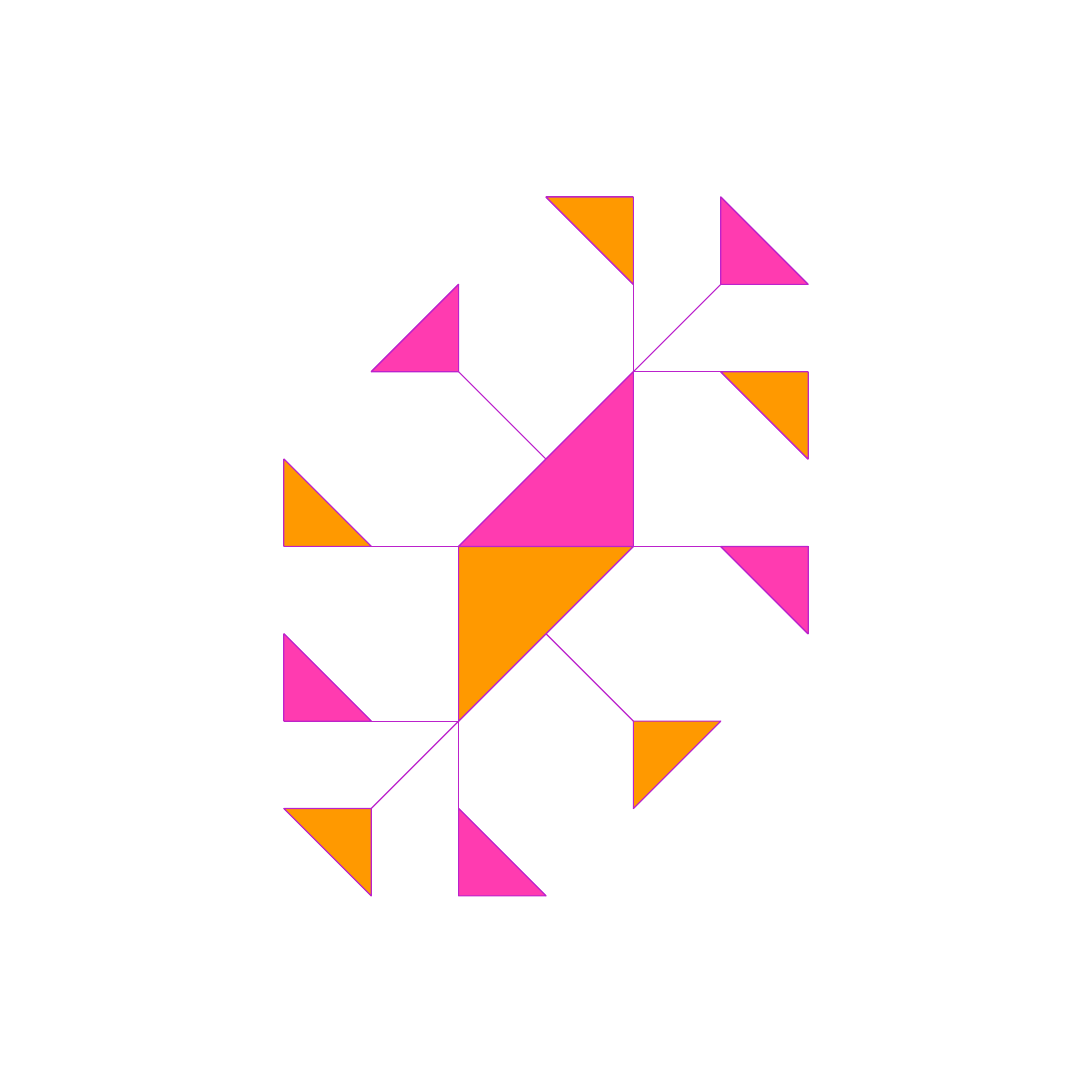
from itertools import combinations

from lxml.etree import SubElement
from pptx import Presentation
from pptx.dml.color import RGBColor
from pptx.enum.shapes import MSO_CONNECTOR, MSO_SHAPE
from pptx.oxml.ns import qn
from pptx.util import Cm, Pt

ORANGE = RGBColor(0xFF, 0x99, 0x00)
PINK = RGBColor(0xFF, 0x3B, 0xB0)
PURPLE = RGBColor(0xBB, 0x22, 0xCC)

# Grid column, grid row, size in grid steps, rotation, fill
TRIANGLES = [
    (3, 0, 1, 180, ORANGE),
    (5, 2, 1, 180, ORANGE),
    (0, 7, 1, 180, ORANGE),
    (0, 3, 1, 0, ORANGE),
    (4, 6, 1, 90, ORANGE),
    (2, 4, 2, 90, ORANGE),
    (2, 2, 2, 270, PINK),
    (1, 1, 1, 270, PINK),
    (5, 0, 1, 0, PINK),
    (5, 4, 1, 180, PINK),
    (0, 5, 1, 0, PINK),
    (2, 7, 1, 0, PINK),
]
# Grid points joined by each stem
STEMS = [
    ((3, 3), (2, 2)),
    ((4, 6), (3, 5)),
    ((1, 7), (2, 6)),
    ((4, 2), (5, 1)),
    ((2, 6), (2, 7)),
    ((4, 1), (4, 2)),
    ((2, 6), (1, 6)),
    ((2, 4), (1, 4)),
    ((5, 2), (4, 2)),
    ((5, 4), (4, 4)),
]

SLIDE_SIDE = Cm(50)
LEFT, TOP, STEP = 13, 9.02, 4
LINE_WIDTH = Pt(1.5)


def grid_point(column, row):
    return Cm(LEFT + column * STEP), Cm(TOP + row * STEP)


def triangle_sides(column, row, size, rotation):
    """Return the three sides of a turned right triangle as pairs of grid points."""
    corners = [(column, row), (column + size, row),
               (column + size, row + size), (column, row + size)]
    right_angle = rotation // 90 - 1
    del corners[(right_angle + 2) % 4]
    return list(combinations(sorted(corners), 2))


def add_line(shapes, start, end):
    line = shapes.add_connector(MSO_CONNECTOR.STRAIGHT,
                                *grid_point(*start), *grid_point(*end))
    line.line.color.rgb = PURPLE
    line.line.width = LINE_WIDTH
    SubElement(line._element.spPr, qn("a:effectLst"))


def add_triangle(shapes, column, row, size, rotation, fill):
    side = Cm(size * STEP)
    triangle = shapes.add_shape(MSO_SHAPE.RIGHT_TRIANGLE,
                                *grid_point(column, row), side, side)
    triangle.rotation = rotation
    triangle.shadow.inherit = False
    triangle.fill.solid()
    triangle.fill.fore_color.rgb = fill
    triangle.line.color.rgb = PURPLE
    triangle.line.width = LINE_WIDTH


def main():
    deck = Presentation()
    deck.slide_width = deck.slide_height = SLIDE_SIDE
    page = deck.slides.add_slide(deck.slide_layouts[6])
    figure = page.shapes.add_group_shape().shapes

    sides = [side for triangle in TRIANGLES for side in triangle_sides(*triangle[:4])]
    for start, end in dict.fromkeys(sides + STEMS):
        add_line(figure, start, end)
    for triangle in TRIANGLES:
        add_triangle(figure, *triangle)

    deck.save("out.pptx")


if __name__ == "__main__":
    main()
